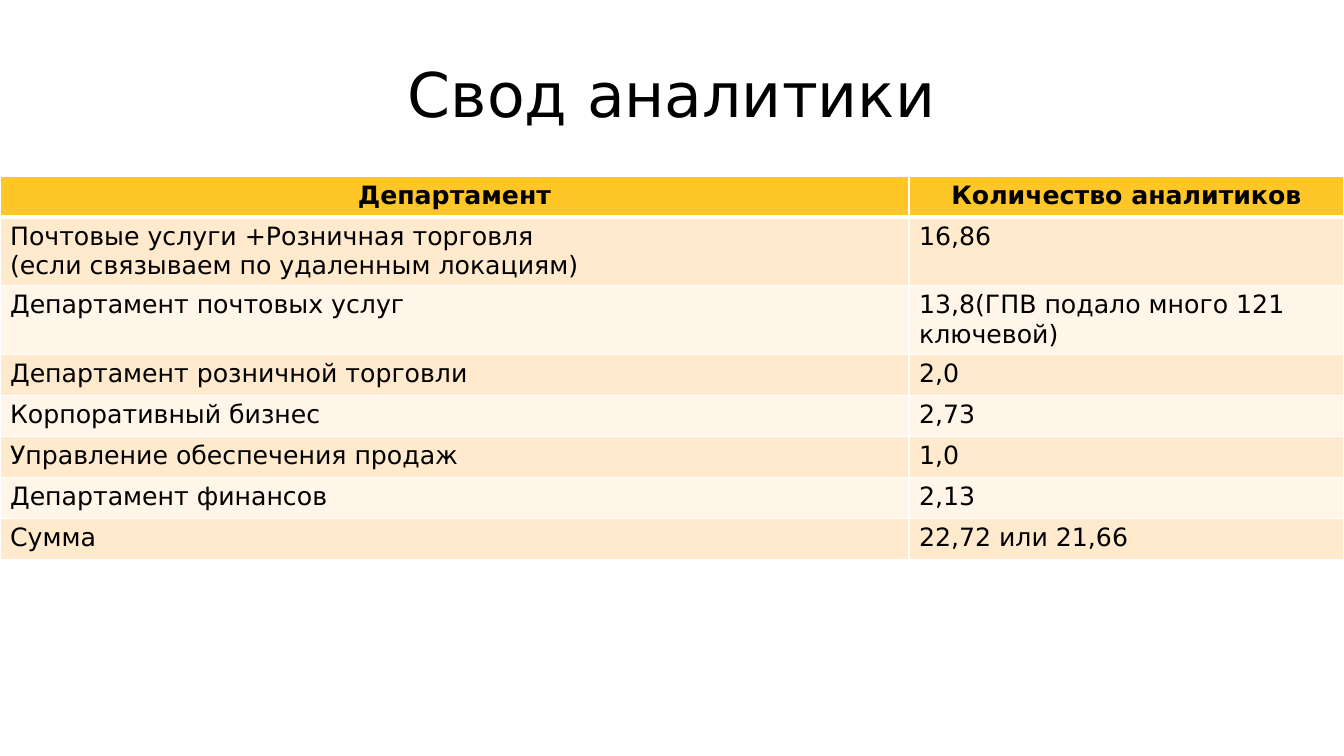
from dataclasses import dataclass

from lxml import etree
from pptx import Presentation
from pptx.dml.color import RGBColor
from pptx.enum.text import MSO_ANCHOR, MSO_AUTO_SIZE, PP_ALIGN
from pptx.oxml.ns import qn
from pptx.util import Emu, Pt

CENTER = PP_ALIGN.CENTER
LEFT = PP_ALIGN.LEFT
MIDDLE = MSO_ANCHOR.MIDDLE
NO_AUTOFIT = MSO_AUTO_SIZE.NONE
TITLE_ONLY = 5
EMU_PER_PX = 914400 / 100.8


@dataclass(frozen=True)
class Theme:
    font: str = "DejaVu Sans"
    title_size: int = 44
    table_size: int = 18
    text: str = "000000"
    border: str = "FFFFFF"
    header: str = "FFC627"
    bands: tuple = ("FFEACD", "FFF5E8")
    thin: int = 1
    thick: int = 3


THEME = Theme()

TITLE = "Свод аналитики"
HEADER = ("Департамент", "Количество аналитиков")
DEPARTMENTS = [
    ("Почтовые услуги +Розничная торговля\n(если связываем по удаленным локациям)", "16,86"),
    ("Департамент почтовых услуг", "13,8(ГПВ подало много 121 ключевой)"),
    ("Департамент розничной торговли", "2,0"),
    ("Корпоративный бизнес", "2,73"),
    ("Управление обеспечения продаж", "1,0"),
    ("Департамент финансов", "2,13"),
    ("Сумма", "22,72 или 21,66"),
]
COLUMN_WIDTHS = (909, 435)
ROW_HEIGHT = 41


def px(length):
    return Emu(round(length * EMU_PER_PX))


def write_text(frame, text, size, align, bold=False):
    """Fill the first paragraph, with a line break at each newline."""
    para = frame.paragraphs[0]
    para.alignment = align
    for index, line in enumerate(text.split("\n")):
        if index:
            para.add_line_break()
        span = para.add_run()
        span.text = line
        span.font.name = THEME.font
        span.font.size = Pt(size)
        span.font.bold = bold
        span.font.color.rgb = RGBColor.from_string(THEME.text)


def set_borders(cell, top, bottom):
    """Draw the four cell edges; top and bottom are widths in points."""
    properties = cell._tc.get_or_add_tcPr()
    widths = {"lnL": THEME.thin, "lnR": THEME.thin, "lnT": top, "lnB": bottom}
    for edge, width in widths.items():
        line = etree.SubElement(properties, qn(f"a:{edge}"), w=str(Pt(width)))
        fill = etree.SubElement(line, qn("a:solidFill"))
        etree.SubElement(fill, qn("a:srgbClr"), val=THEME.border)


def format_cell(cell, text, row):
    is_header = row == 0
    set_borders(
        cell,
        top=THEME.thick if row == 1 else THEME.thin,
        bottom=THEME.thick if is_header else THEME.thin,
    )
    color = THEME.header if is_header else THEME.bands[(row - 1) % 2]
    cell.fill.solid()
    cell.fill.fore_color.rgb = RGBColor.from_string(color)
    write_text(cell.text_frame, text, THEME.table_size,
               CENTER if is_header else LEFT, bold=is_header)


def add_title(page):
    title = page.shapes.title
    title.left, title.top = px(67), px(30)
    title.width, title.height = px(1210), px(126)
    frame = title.text_frame
    frame.word_wrap = True
    frame.auto_size = NO_AUTOFIT
    frame.vertical_anchor = MIDDLE
    write_text(frame, TITLE, THEME.title_size, CENTER)


def add_analyst_table(page):
    rows = [HEADER, *DEPARTMENTS]
    table = page.shapes.add_table(
        len(rows), len(HEADER), px(0), px(176),
        px(sum(COLUMN_WIDTHS)), px(ROW_HEIGHT * len(rows)),
    ).table
    for column, width in zip(table.columns, COLUMN_WIDTHS):
        column.width = px(width)
    for row, texts in enumerate(rows):
        table.rows[row].height = px(ROW_HEIGHT)
        for column, text in enumerate(texts):
            format_cell(table.cell(row, column), text, row)


def main():
    deck = Presentation()
    deck.slide_width, deck.slide_height = px(1344), px(756)
    page = deck.slides.add_slide(deck.slide_layouts[TITLE_ONLY])
    add_title(page)
    add_analyst_table(page)
    deck.save("out.pptx")


if __name__ == "__main__":
    main()
